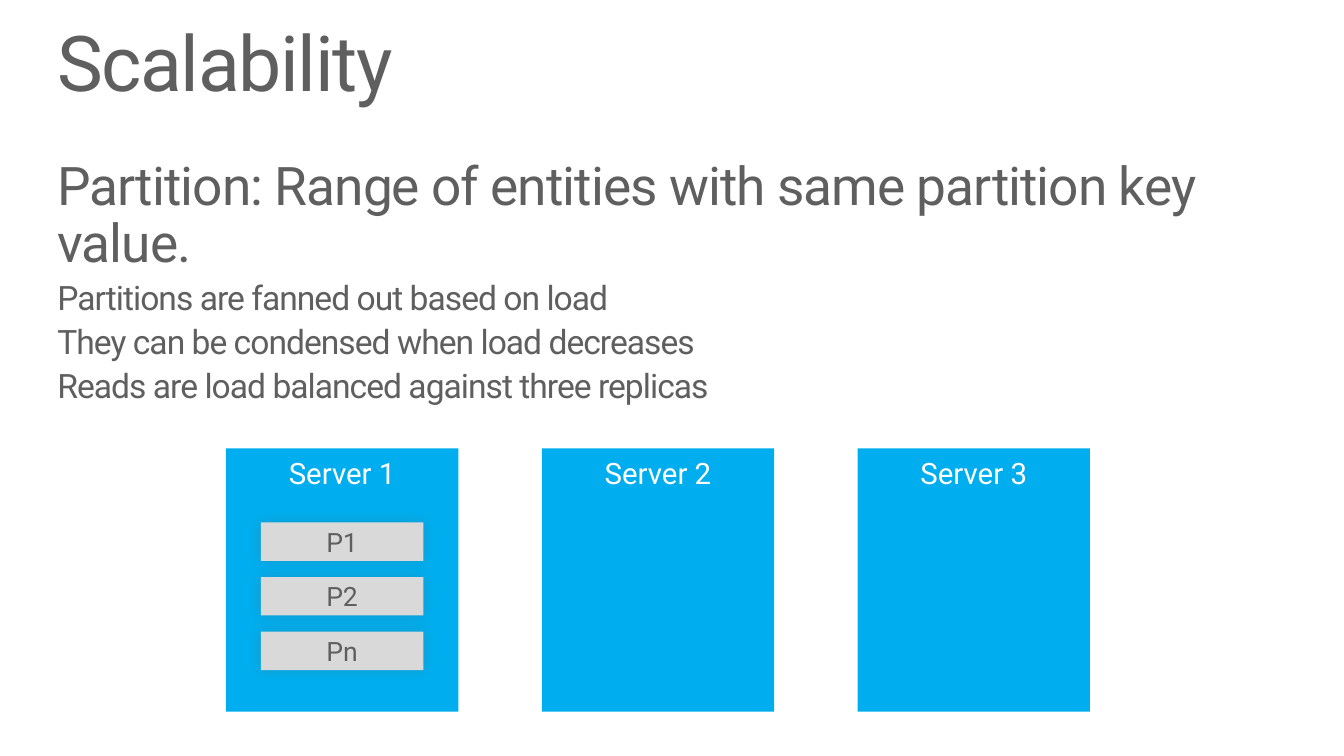
from lxml.etree import SubElement
from pptx import Presentation
from pptx.dml.color import RGBColor
from pptx.enum.shapes import MSO_SHAPE
from pptx.enum.text import MSO_ANCHOR, PP_ALIGN
from pptx.oxml.ns import qn
from pptx.util import Pt

TITLE = "Scalability"
HEADING = "Partition: Range of entities with same partition key value."
DETAILS = [
    "Partitions are fanned out based on load",
    "They can be condensed when load decreases",
    "Reads are load balanced against three replicas",
]
SERVERS = ["Server 1", "Server 2", "Server 3"]
PARTITIONS = ["P1", "P2", "Pn"]

FONT = "Roboto"
GREY, WHITE, BLUE, LIGHT_GREY = "5F5F5F", "FFFFFF", "00AEEF", "D9D9D9"
TEXT_LEFT, TEXT_WIDTH = 41, 877.7
SERVER_LEFT, SERVER_TOP, SERVER_WIDTH, SERVER_HEIGHT, SERVER_STEP = 161.4, 320.3, 166, 188, 225.6
PARTITION_TOP, PARTITION_WIDTH, PARTITION_HEIGHT, PARTITION_STEP = 373.2, 116, 27.4, 39


def color(value):
    return RGBColor.from_string(value)


def write(frame, text, size, ink=GREY, align=PP_ALIGN.LEFT, first=True,
          line_spacing=1.0, before=0, tracking=0):
    paragraph = frame.paragraphs[0] if first else frame.add_paragraph()
    paragraph.alignment = align
    paragraph.line_spacing = line_spacing
    paragraph.space_before = Pt(before)
    run = paragraph.add_run()
    run.text = text
    run.font.name = FONT
    run.font.size = Pt(size)
    run.font.color.rgb = color(ink)
    if tracking:
        run._r.get_or_add_rPr().set("spc", str(round(tracking * 100)))


def set_frame(frame, horizontal, vertical, anchor):
    frame.word_wrap = True
    frame.margin_left = frame.margin_right = Pt(horizontal)
    frame.margin_top = frame.margin_bottom = Pt(vertical)
    frame.vertical_anchor = anchor


def add_text(slide, top, height):
    box = slide.shapes.add_textbox(Pt(TEXT_LEFT), Pt(top), Pt(TEXT_WIDTH), Pt(height))
    set_frame(box.text_frame, 0, 0, MSO_ANCHOR.TOP)
    return box.text_frame


def add_block(slide, text, left, top, width, height, fill, ink, size, anchor):
    shape = slide.shapes.add_shape(MSO_SHAPE.RECTANGLE, Pt(left), Pt(top), Pt(width), Pt(height))
    shape.shadow.inherit = False
    shape.fill.solid()
    shape.fill.fore_color.rgb = color(fill)
    shape.line.fill.background()
    set_frame(shape.text_frame, 9.4, 5, anchor)
    write(shape.text_frame, text, size, ink=ink, align=PP_ALIGN.CENTER)
    return shape


def add_glow_shadow(shape):
    effects = shape._element.spPr.find(qn("a:effectLst"))
    shadow = SubElement(effects, qn("a:outerShdw"), blurRad=str(Pt(10)), dist="0", dir="0",
                        algn="ctr", rotWithShape="0")
    tint = SubElement(shadow, qn("a:srgbClr"), val=GREY)
    SubElement(tint, qn("a:alpha"), val="26000")


def main():
    presentation = Presentation()
    presentation.slide_width, presentation.slide_height = Pt(960), Pt(540)
    slide = presentation.slides.add_slide(presentation.slide_layouts[6])

    write(add_text(slide, 18, 59.8), TITLE, 55, line_spacing=0.9, tracking=-1)
    body = add_text(slide, 113.8, 137.5)
    write(body, HEADING, 38, line_spacing=0.9, tracking=-0.7)
    for detail in DETAILS:
        write(body, detail, 24, first=False, line_spacing=0.9, before=5.4, tracking=-0.7)

    for index, server in enumerate(SERVERS):
        add_block(slide, server, SERVER_LEFT + index * SERVER_STEP, SERVER_TOP,
                  SERVER_WIDTH, SERVER_HEIGHT, BLUE, WHITE, 21, MSO_ANCHOR.TOP)

    partition_left = SERVER_LEFT + (SERVER_WIDTH - PARTITION_WIDTH) / 2
    for index, partition in enumerate(PARTITIONS):
        block = add_block(slide, partition, partition_left, PARTITION_TOP + index * PARTITION_STEP,
                          PARTITION_WIDTH, PARTITION_HEIGHT, LIGHT_GREY, GREY, 19, MSO_ANCHOR.MIDDLE)
        add_glow_shadow(block)

    presentation.save("out.pptx")


if __name__ == "__main__":
    main()
